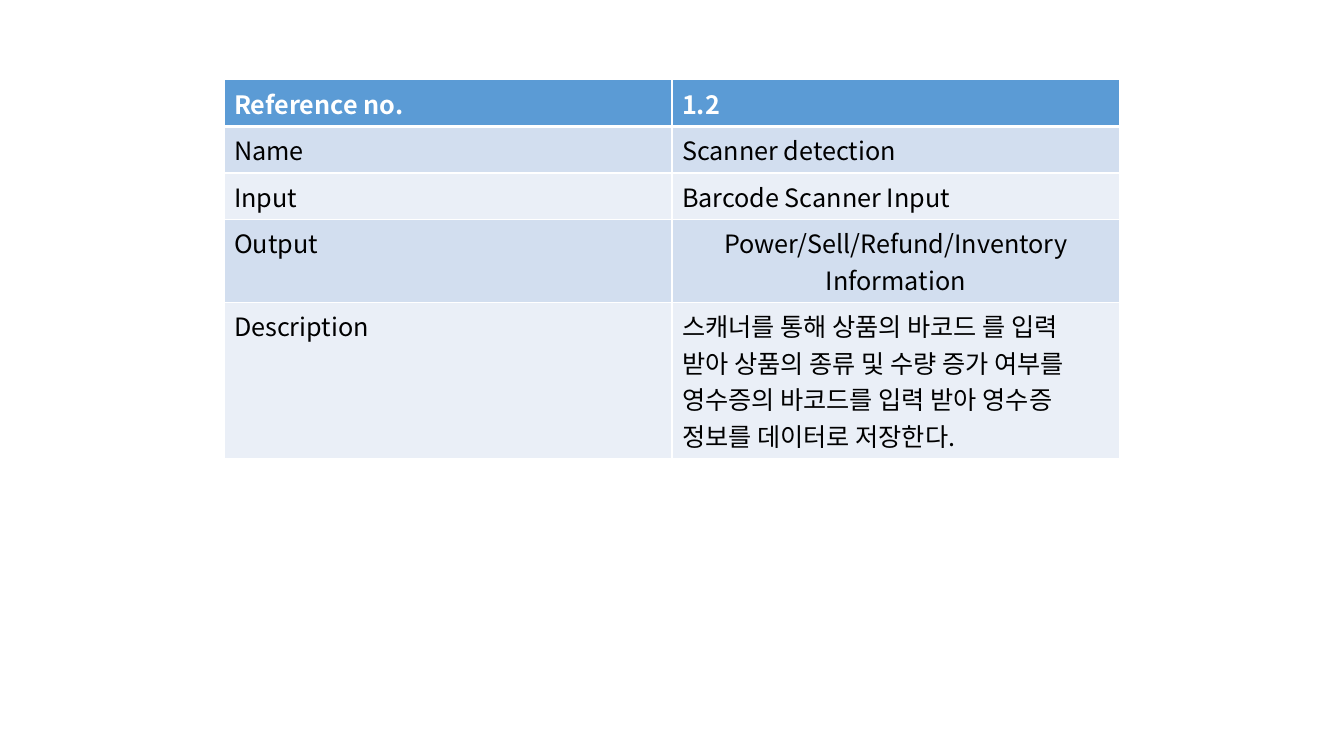
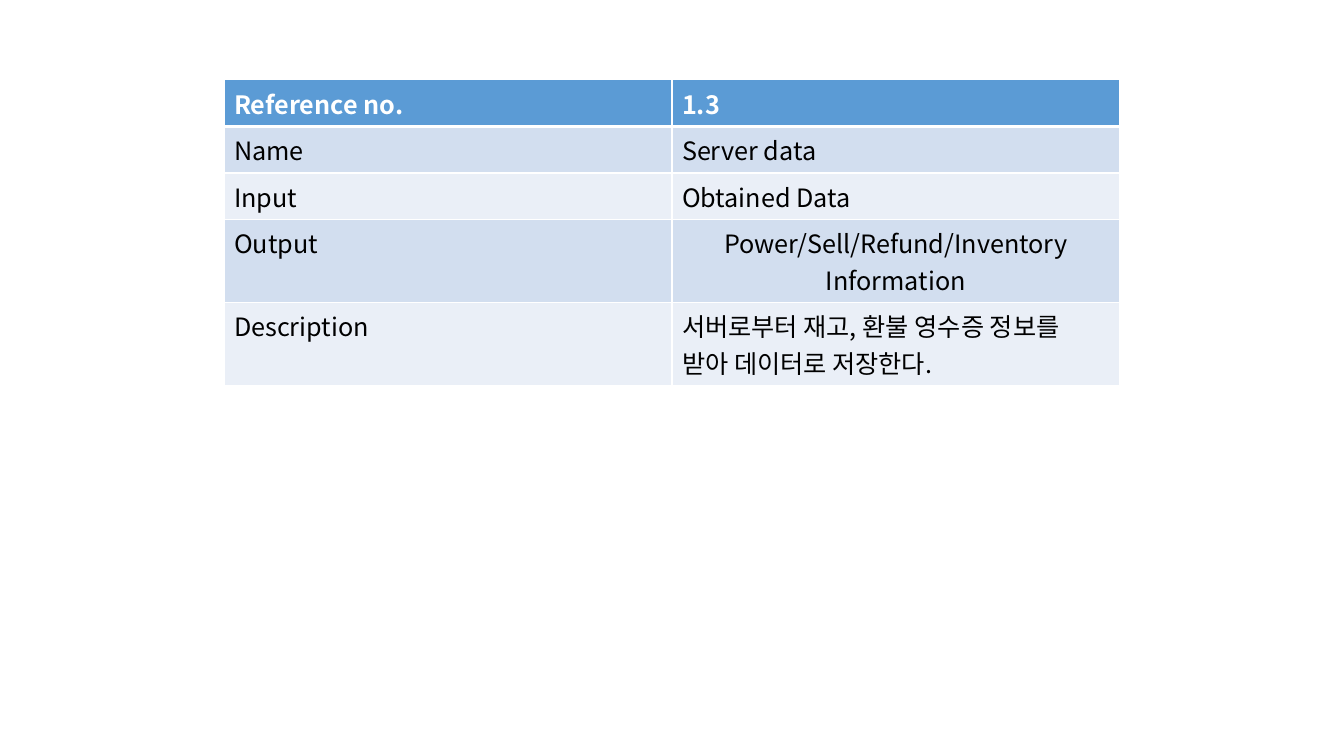
from lxml import etree
from pptx import Presentation
from pptx.dml.color import RGBColor
from pptx.enum.text import PP_ALIGN
from pptx.oxml.ns import qn
from pptx.util import Pt

CENTER = PP_ALIGN.CENTER
FONT = "Noto Sans CJK KR"
COLORS = {
    "head": "5B9BD5",
    "odd": "D2DEEF",
    "even": "EAEFF7",
    "text": "000000",
    "white": "FFFFFF",
}
LABELS = ["Reference no.", "Name", "Input", "Output", "Description"]
OUTPUT = "Power/Sell/Refund/Inventory\nInformation"
SPECS = [
    ["1.2", "Scanner detection", "Barcode Scanner Input", OUTPUT,
     "스캐너를 통해 상품의 바코드 를 입력 받아 상품의 종류 및 수량 증가 여부를 "
     "영수증의 바코드를 입력 받아 영수증 정보를 데이터로 저장한다."],
    ["1.3", "Server data", "Obtained Data", OUTPUT,
     "서버로부터 재고, 환불 영수증 정보를 받아 데이터로 저장한다."],
]
LEFT, TOP = Pt(160), Pt(57)
COL, ROW = Pt(320), Pt(29.2)


def color(name):
    return RGBColor.from_string(COLORS[name])


def set_edges(cell, row):
    """Draw white cell borders, with a thick rule below the header."""
    props = cell._tc.get_or_add_tcPr()
    thick = {(0, "lnB"), (1, "lnT")}
    for side in ("lnL", "lnR", "lnT", "lnB"):
        width = Pt(3 if (row, side) in thick else 1)
        line = etree.SubElement(props, qn("a:" + side), w=str(width))
        fill = etree.SubElement(line, qn("a:solidFill"))
        etree.SubElement(fill, qn("a:srgbClr"), val=COLORS["white"])


def set_font(para, head):
    font = para.font
    font.name, font.size, font.bold = FONT, Pt(18), head
    font.color.rgb = color("white" if head else "text")
    # East Asian text takes its typeface from a separate element.
    etree.SubElement(font._element, qn("a:ea"), typeface=FONT)


def fill_cell(cell, text, row):
    head = row == 0
    set_edges(cell, row)
    cell.fill.solid()
    cell.fill.fore_color.rgb = color("head" if head else "odd" if row % 2 else "even")
    cell.text = text
    paras = cell.text_frame.paragraphs
    for para in paras:
        set_font(para, head)
        if len(paras) > 1:
            para.alignment = CENTER


def add_spec(deck, values):
    slide = deck.slides.add_slide(deck.slide_layouts[6])
    count = len(LABELS)
    table = slide.shapes.add_table(count, 2, LEFT, TOP, 2 * COL, count * ROW).table
    for row, pair in enumerate(zip(LABELS, values)):
        table.rows[row].height = ROW
        for col, text in enumerate(pair):
            fill_cell(table.cell(row, col), text, row)


def main():
    deck = Presentation()
    deck.slide_width, deck.slide_height = Pt(960), Pt(540)
    for values in SPECS:
        add_spec(deck, values)
    deck.save("out.pptx")


if __name__ == "__main__":
    main()
